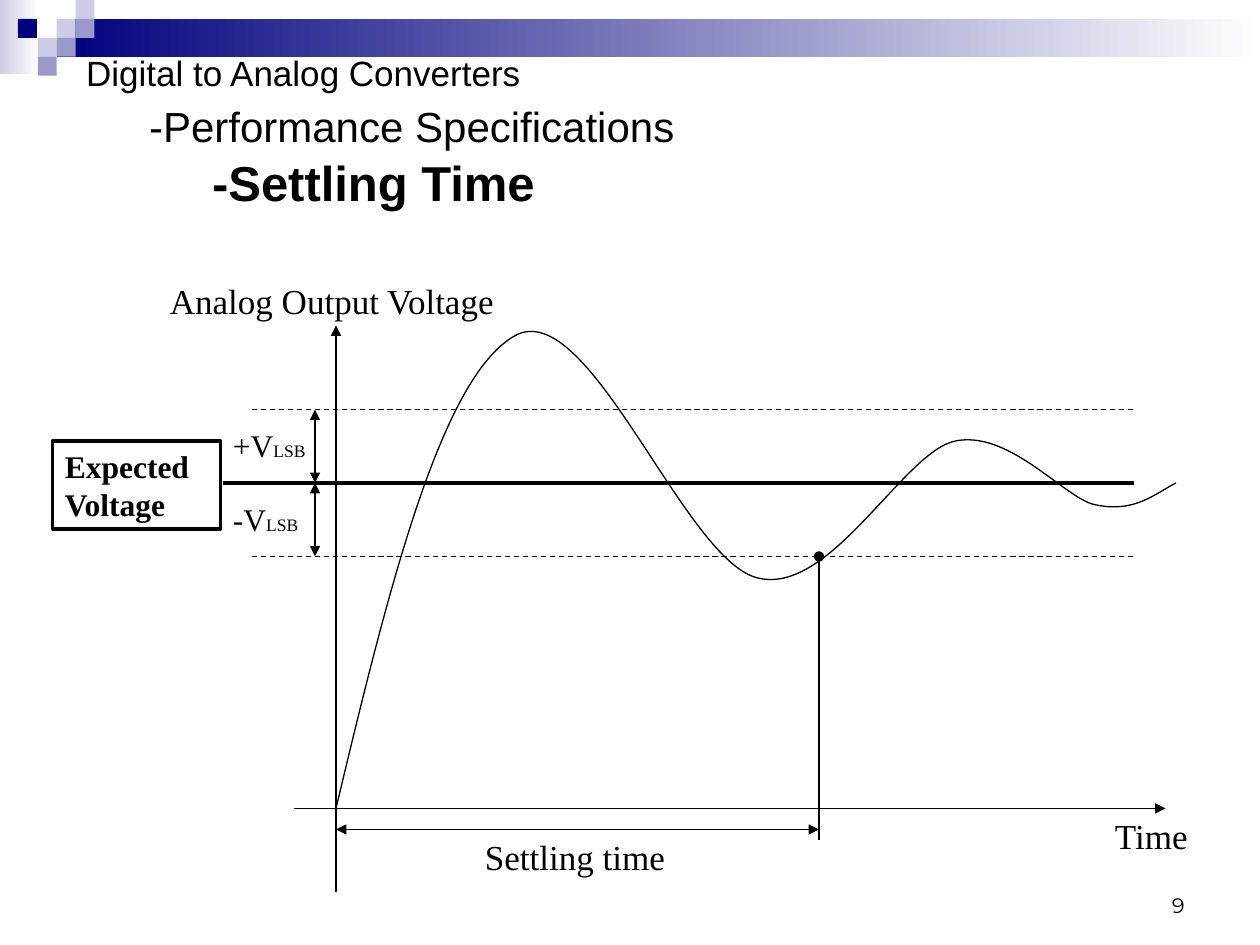
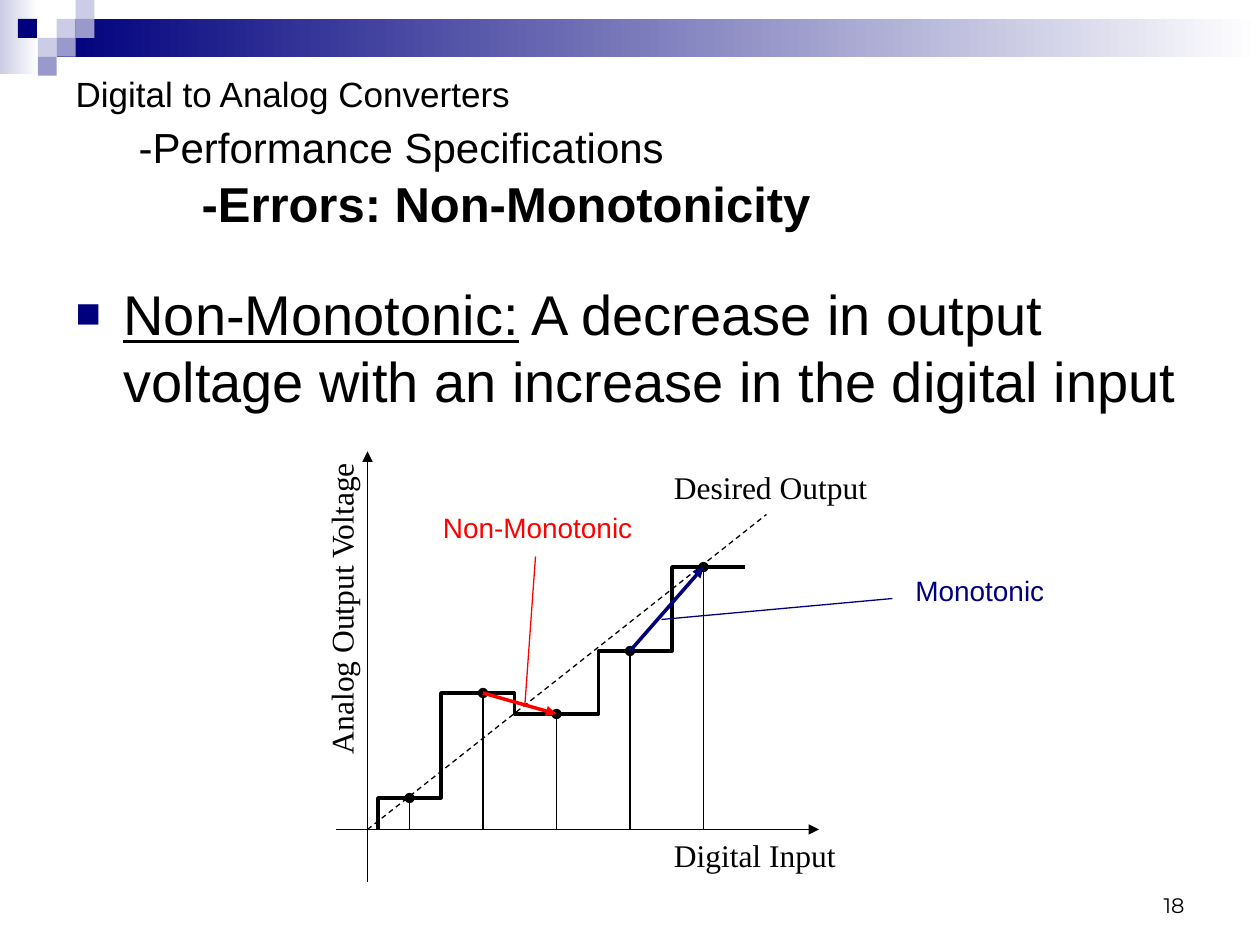
from lxml.etree import SubElement
from pptx import Presentation
from pptx.dml.color import RGBColor
from pptx.enum.dml import MSO_LINE
from pptx.enum.shapes import MSO_CONNECTOR, MSO_SHAPE
from pptx.enum.text import MSO_ANCHOR, MSO_AUTO_SIZE, PP_ALIGN
from pptx.oxml.ns import qn
from pptx.util import Inches, Pt

COLORS = {"black": "000000", "white": "FFFFFF", "navy": "00007D",
          "lilac": "9999CC", "pale": "CCCCE6", "red": "FF0000"}
RGB = {name: RGBColor.from_string(value) for name, value in COLORS.items()}
SANS, SERIF, NUMERAL = "Arial", "Times New Roman", "Montserrat"

prs = Presentation()
prs.slide_width, prs.slide_height = Inches(10), Inches(7.5)
CELL = prs.slide_width // 120   # the slide is a grid of 120 columns and 90 rows
TILE = prs.slide_height // 50   # side of a square in the corner mosaic


def write(paragraph, text, size=18, font=SERIF, color="black", bold=False, underline=False):
    """Append one formatted run to the paragraph."""
    run = paragraph.add_run()
    run.text = text
    run.font.size, run.font.name = Pt(size), font
    run.font.bold, run.font.underline = bold, underline
    run.font.color.rgb = RGB[color]


def draw_line(slide, x1, y1, x2, y2, color="black", width=0.75, dashed=False,
              head=None, tail=None):
    """Draw a line between grid points; head ends it at the start, tail at the end."""
    connector = slide.shapes.add_connector(
        MSO_CONNECTOR.STRAIGHT, *[round(v * CELL) for v in (x1, y1, x2, y2)])
    connector.line.color.rgb = RGB[color]
    connector.line.width = Pt(width)
    if dashed:
        connector.line.dash_style = MSO_LINE.DASH
    properties = connector._element.spPr
    for tag, kind in (("a:headEnd", head), ("a:tailEnd", tail)):
        if kind:
            SubElement(properties.find(qn("a:ln")), qn(tag), type=kind)
    SubElement(properties, qn("a:effectLst"))


settling = prs.slides.add_slide(prs.slide_layouts[5])
monotonicity = prs.slides.add_slide(prs.slide_layouts[1])

# Corner mosaic and band, in tiles: left, top, width, height, colours
band_width = prs.slide_width / TILE - 3
mosaic = [(0, 0, 2.05, 3.9, ("pale", "white")), (3, 1, band_width, 2, ("navy", "white"))]
mosaic += [(column, row, 1, 1, (color,)) for column, row, color in (
    (3, 1, "pale"), (4, 0, "pale"), (4, 1, "lilac"), (2, 2, "pale"),
    (0.95, 1, "navy"), (3, 2, "lilac"), (2, 3, "lilac"))]

# Shared frame: mosaic, title and page number
for slide, topic, title_box, number in (
        (settling, "-Settling Time", (7, 6, 94, 13), "9"),
        (monotonicity, "-Errors: Non-Monotonicity", (6, 8, 108, 13), "18")):
    for *box, colors in mosaic:
        tile = slide.shapes.add_shape(MSO_SHAPE.RECTANGLE, *[round(v * TILE) for v in box])
        tile.shadow.inherit = False
        tile.line.fill.background()
        if len(colors) == 1:
            tile.fill.solid()
            tile.fill.fore_color.rgb = RGB[colors[0]]
        else:
            tile.fill.gradient()
            tile.fill.gradient_angle = 0
            for stop, color in zip(tile.fill.gradient_stops, colors):
                stop.color.rgb = RGB[color]

    title = slide.shapes.title
    title.left, title.top, title.width, title.height = [v * CELL for v in title_box]
    heading = title.text_frame
    heading.auto_size = MSO_AUTO_SIZE.NONE
    heading.vertical_anchor = MSO_ANCHOR.MIDDLE
    for level, (text, size) in enumerate((("Digital to Analog Converters", 20),
                                          ("-Performance Specifications", 24), (topic, 28))):
        paragraph = heading.add_paragraph() if level else heading.paragraphs[0]
        paragraph.alignment = PP_ALIGN.LEFT
        if level:
            write(paragraph, "\t" * level, 28, SANS)
        write(paragraph, text, size, SANS, bold=text == topic)

    page = slide.shapes.add_textbox(86 * CELL, 82 * CELL, 28 * CELL, 6 * CELL).text_frame
    page.word_wrap = True
    page.vertical_anchor = MSO_ANCHOR.BOTTOM
    page.paragraphs[0].alignment = PP_ALIGN.RIGHT
    write(page.paragraphs[0], number, 12, NUMERAL)

# Definition of non-monotonic
body = monotonicity.placeholders[1]
body.left, body.top, body.width, body.height = [v * CELL for v in (6, 26, 108, 15)]
body.text_frame.auto_size = MSO_AUTO_SIZE.NONE
definition = body.text_frame.paragraphs[0]
bullet = definition._p.get_or_add_pPr()
bullet.set("marL", str(Inches(0.38)))
bullet.set("indent", str(-Inches(0.38)))
SubElement(SubElement(bullet, qn("a:buClr")), qn("a:srgbClr"), val=COLORS["navy"])
SubElement(bullet, qn("a:buSzPct"), val="75000")
SubElement(bullet, qn("a:buFont"), typeface=SANS)
SubElement(bullet, qn("a:buChar"), char="■")
definition.space_before = Pt(0)
write(definition, "Non-Monotonic:", 32, SANS, underline=True)
write(definition, " A decrease in output voltage with an increase in the digital input", 32, SANS)

# Settling time graph
origin_x, time_axis, settled_x = 32, 77, 78
upper, expected, lower = 39, 46, 53
draw_line(settling, origin_x, 85, origin_x, 31, tail="triangle")
draw_line(settling, 28, time_axis, 111, time_axis, tail="triangle")
draw_line(settling, 21.25, expected, 108, expected, width=2)
for limit in (upper, lower):
    draw_line(settling, 24, limit, 108, limit, dashed=True)
for top, bottom in ((upper, expected), (expected, lower)):
    draw_line(settling, 30, top, 30, bottom, head="triangle", tail="triangle")
draw_line(settling, settled_x, lower, settled_x, 80, head="oval")
draw_line(settling, origin_x, 79, settled_x, 79, head="triangle", tail="triangle")

response = [(origin_x, time_axis),
            (37.2, 56.3), (42.4, 35.6), (49, 32),
            (55.7, 28.3), (65, 53.3), (72, 55),
            (79, 56.6), (85.7, 43.2), (91, 42),
            (96.4, 40.8), (100.6, 47.3), (104, 48),
            (107.5, 48.7), (109.8, 47.3), (112, expected)]

# Non-monotonic staircase: each level runs between two edges
input_axis, output_axis = 79, 35
edges = [36, 42, 49, 57, 64, 71]
levels = [76, 66, 68, 62, 54]
samples = list(zip(range(39, 68, 7), levels))
staircase = [(edges[0], input_axis)]
for left, right, level in zip(edges, edges[1:], levels):
    staircase += [(left, level), (right, level)]

draw_line(monotonicity, output_axis, 84, output_axis, 43, tail="triangle")
draw_line(monotonicity, 32, input_axis, 78, input_axis, tail="triangle")
draw_line(monotonicity, output_axis, input_axis, 73, 49, dashed=True)
for x, level in samples:
    draw_line(monotonicity, x, input_axis, x, level, tail="oval")

for slide, points, width in ((settling, response, 0.75), (monotonicity, staircase, 2)):
    builder = slide.shapes.build_freeform(*points[0], scale=CELL)
    builder.add_line_segments(points[1:], close=False)
    trace = builder.convert_to_shape()
    trace.shadow.inherit = False
    trace.fill.background()
    trace.line.color.rgb = RGB["black"]
    trace.line.width = Pt(width)
    if points is response:
        # Turn every three straight segments into one Bézier segment
        outline = trace._element.find(".//" + qn("a:path"))
        segments = outline.findall(qn("a:lnTo"))
        for start in range(0, len(segments), 3):
            cubic = SubElement(outline, qn("a:cubicBezTo"))
            for segment in segments[start:start + 3]:
                cubic.append(segment[0])
                outline.remove(segment)

draw_line(monotonicity, *samples[3], *samples[4], color="navy", width=2, tail="triangle")
draw_line(monotonicity, *samples[1], *samples[2], color="red", width=2, tail="triangle")
draw_line(monotonicity, 63, 59, 85, 57, color="navy")
draw_line(monotonicity, 50, 67, 51, 53, color="red")

# Graph labels: slide, box on the grid, rotation, runs with their format
serif_20, sans_16 = {"size": 20}, {"size": 16, "font": SANS}
subscript = ("LSB", {"size": 10})
for slide, box, rotation, runs in (
        (settling, (15, 26, 36, 5.25), 0, [("Analog Output Voltage", serif_20)]),
        (settling, (5, 42, 16, 8.4), 0, [("Expected Voltage", {"bold": True})]),
        (settling, (21, 40, 14, 4.8), 0, [("+V", {}), subscript]),
        (settling, (21, 47, 14, 4.8), 0, [("-V", {}), subscript]),
        (settling, (45, 79, 28, 5.25), 0, [("Settling time", serif_20)]),
        (settling, (105, 77, 15, 5.25), 0, [("Time", serif_20)]),
        (monotonicity, (16, 54.1, 33, 4.8), 270, [("Analog Output Voltage", {})]),
        (monotonicity, (63, 79, 24, 4.8), 0, [("Digital Input", {})]),
        (monotonicity, (63, 44, 21, 4.8), 0, [("Desired Output", {})]),
        (monotonicity, (86, 54, 21, 4.4), 0, [("Monotonic", {**sans_16, "color": "navy"})]),
        (monotonicity, (41, 48, 22, 4.4), 0, [("Non-Monotonic", {**sans_16, "color": "red"})])):
    label = slide.shapes.add_textbox(*[round(v * CELL) for v in box])
    label.rotation = rotation
    label.text_frame.word_wrap = True
    for text, style in runs:
        write(label.text_frame.paragraphs[0], text, **style)
    if runs[0][0] == "Expected Voltage":
        label.line.color.rgb = RGB["black"]
        label.line.width = Pt(2)

prs.save("out.pptx")
